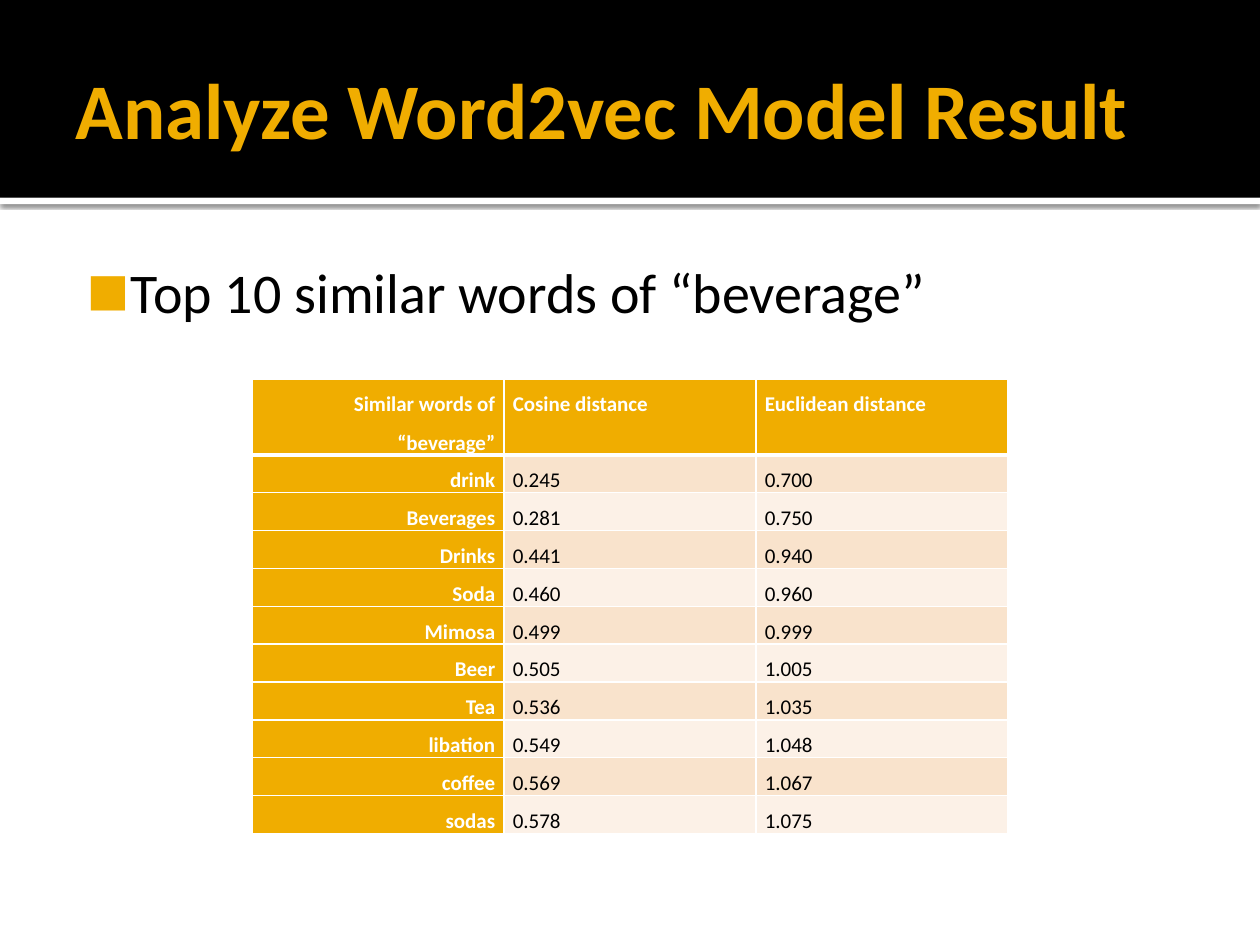
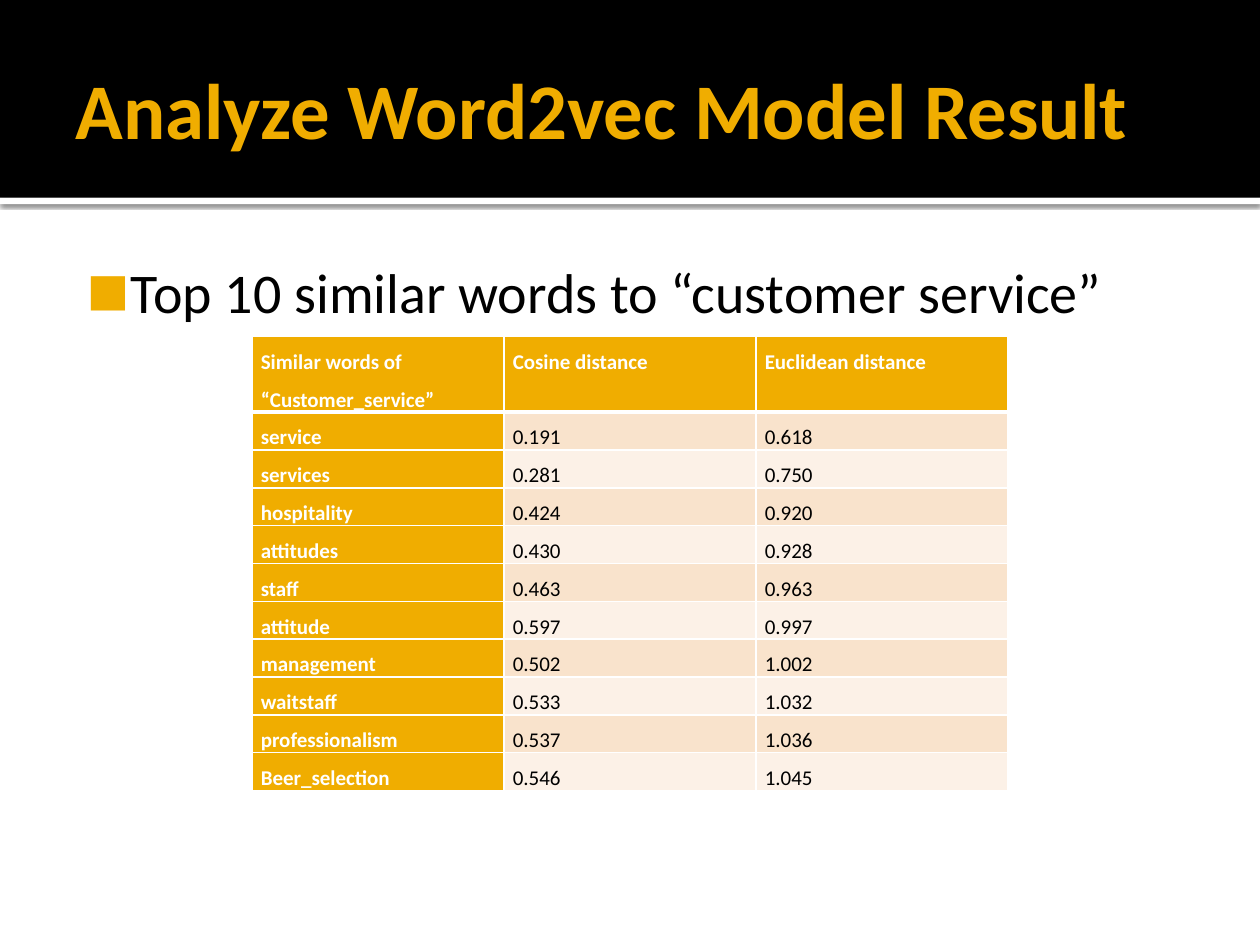
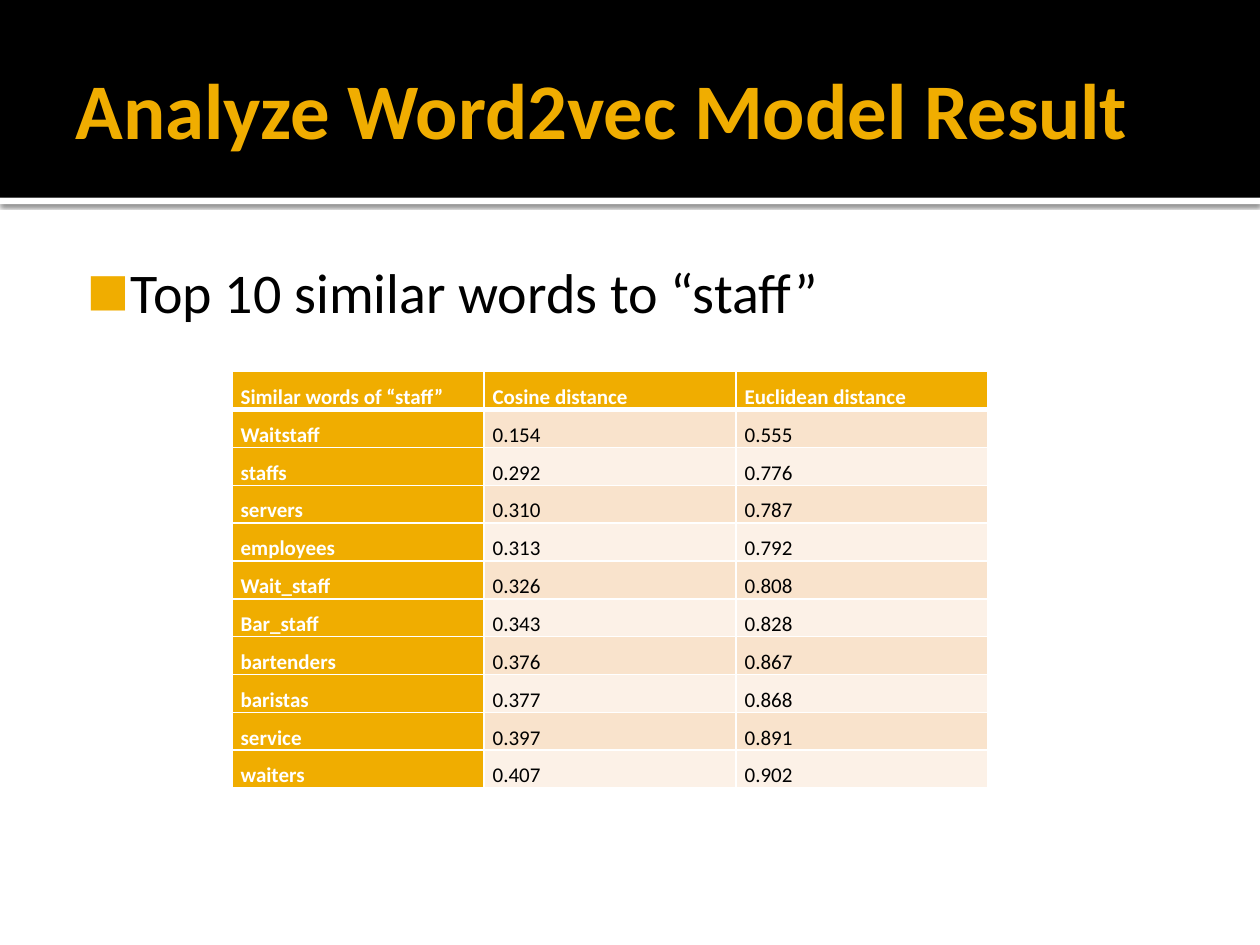
from dataclasses import dataclass

from lxml import etree
from pptx import Presentation
from pptx.dml.color import RGBColor
from pptx.enum.shapes import MSO_SHAPE
from pptx.enum.text import MSO_ANCHOR, PP_ALIGN
from pptx.oxml.ns import qn
from pptx.util import Inches, Pt

RECTANGLE = MSO_SHAPE.RECTANGLE
TOP, MIDDLE = MSO_ANCHOR.TOP, MSO_ANCHOR.MIDDLE
LEFT, RIGHT = PP_ALIGN.LEFT, PP_ALIGN.RIGHT

FONT = "Calibri"
GOLD = "F0AD00"
BLACK = "000000"
WHITE = "FFFFFF"
STRIPES = ("F9E3CC", "FCF1E7")

TITLE = "Analyze Word2vec Model Result"
DISTANCES = ("Cosine distance", "Euclidean distance")
COLUMN_WIDTH = 2
ROW_HEIGHT = 0.3
THIN, THICK = 1, 3


@dataclass(frozen=True)
class Box:
    left: float
    top: float
    width: float
    height: float

    def lengths(self):
        return [Inches(n) for n in (self.left, self.top, self.width, self.height)]


@dataclass(frozen=True)
class SimilarWords:
    topic: str
    word_heading: str
    left: float
    top: float
    rows: tuple[tuple[str, str, str], ...]
    word_align: PP_ALIGN = LEFT


STRIP = Box(0, 1.57, 10, 0.05)
BAND = Box(0, 0, 10, 1.57)
TITLE_BOX = Box(0.5, 0.17, 9, 1.37)
TOPIC_BOX = Box(0.5, 1.94, 9, 5.06)

RESULTS = (
    SimilarWords(
        "Top 10 similar words of “beverage”",
        "Similar words of “beverage”",
        2, 3.01,
        (
            ("drink", "0.245", "0.700"),
            ("Beverages", "0.281", "0.750"),
            ("Drinks", "0.441", "0.940"),
            ("Soda", "0.460", "0.960"),
            ("Mimosa", "0.499", "0.999"),
            ("Beer", "0.505", "1.005"),
            ("Tea", "0.536", "1.035"),
            ("libation", "0.549", "1.048"),
            ("coffee", "0.569", "1.067"),
            ("sodas", "0.578", "1.075"),
        ),
        RIGHT,
    ),
    SimilarWords(
        "Top 10 similar words to “customer service”",
        "Similar words of “Customer_service”",
        2, 2.67,
        (
            ("service", "0.191", "0.618"),
            ("services", "0.281", "0.750"),
            ("hospitality", "0.424", "0.920"),
            ("attitudes", "0.430", "0.928"),
            ("staff", "0.463", "0.963"),
            ("attitude", "0.597", "0.997"),
            ("management", "0.502", "1.002"),
            ("waitstaff", "0.533", "1.032"),
            ("professionalism", "0.537", "1.036"),
            ("Beer_selection", "0.546", "1.045"),
        ),
    ),
    SimilarWords(
        "Top 10 similar words to “staff”",
        "Similar words of “staff”",
        1.84, 2.95,
        (
            ("Waitstaff", "0.154", "0.555"),
            ("staffs", "0.292", "0.776"),
            ("servers", "0.310", "0.787"),
            ("employees", "0.313", "0.792"),
            ("Wait_staff", "0.326", "0.808"),
            ("Bar_staff", "0.343", "0.828"),
            ("bartenders", "0.376", "0.867"),
            ("baristas", "0.377", "0.868"),
            ("service", "0.397", "0.891"),
            ("waiters", "0.407", "0.902"),
        ),
    ),
)


def paint(color_format, color: str) -> None:
    color_format.rgb = RGBColor.from_string(color)


def add_child(parent, tag: str, **attributes):
    return etree.SubElement(
        parent, qn(tag), {name: str(value) for name, value in attributes.items()}
    )


def write(frame, text: str, *, size: float, color: str, bold: bool = False,
          align: PP_ALIGN = LEFT, spacing: float = 1.0, bullet: bool = False) -> None:
    paragraph = frame.paragraphs[0]
    paragraph.alignment = align
    paragraph.line_spacing = spacing
    if bullet:
        properties = paragraph._p.get_or_add_pPr()
        properties.set("marL", str(Inches(0.48)))
        properties.set("indent", str(Inches(-0.35)))
        add_child(add_child(properties, "a:buClr"), "a:srgbClr", val=GOLD)
        add_child(properties, "a:buSzPct", val=80000)
        add_child(properties, "a:buFont", typeface=FONT)
        add_child(properties, "a:buChar", char="■")
    run = paragraph.add_run()
    run.text = text
    run.font.name = FONT
    run.font.size = Pt(size)
    run.font.bold = bold
    paint(run.font.color, color)


def set_margins(holder, left: float, top: float, right: float, bottom: float) -> None:
    holder.margin_left = Inches(left)
    holder.margin_top = Inches(top)
    holder.margin_right = Inches(right)
    holder.margin_bottom = Inches(bottom)


def add_text_box(slide, box: Box, text: str, margins: tuple[float, ...],
                 anchor: MSO_ANCHOR, **text_format) -> None:
    frame = slide.shapes.add_textbox(*box.lengths()).text_frame
    frame.word_wrap = True
    frame.vertical_anchor = anchor
    set_margins(frame, *margins)
    write(frame, text, **text_format)


def add_bar(slide, box: Box, color: str):
    bar = slide.shapes.add_shape(RECTANGLE, *box.lengths())
    bar.shadow.inherit = False
    bar.fill.solid()
    paint(bar.fill.fore_color, color)
    bar.line.fill.background()
    return bar


def add_header(slide) -> None:
    strip = add_bar(slide, STRIP, WHITE)
    effects = strip._element.spPr.find(qn("a:effectLst"))
    shadow = add_child(effects, "a:outerShdw", blurRad=Pt(2.5), dist=Pt(0.8),
                       dir=90 * 60000, algn="tl", rotWithShape=0)
    add_child(add_child(shadow, "a:srgbClr", val=BLACK), "a:alpha", val=60000)
    add_bar(slide, BAND, BLACK)
    add_text_box(slide, TITLE_BOX, TITLE, (0.1, 0.05, 0.05, 0.05), MIDDLE,
                 size=45, color=GOLD, bold=True)


def set_borders(cell, top: float, bottom: float) -> None:
    properties = cell._tc.get_or_add_tcPr()
    widths = {"a:lnL": THIN, "a:lnR": THIN, "a:lnT": top, "a:lnB": bottom}
    for tag, width in widths.items():
        line = add_child(properties, tag, w=Pt(width))
        add_child(add_child(line, "a:solidFill"), "a:srgbClr", val=WHITE)


def add_distance_table(slide, result: SimilarWords) -> None:
    rows = ((result.word_heading, *DISTANCES), *result.rows)
    columns = len(rows[0])
    area = Box(result.left, result.top, columns * COLUMN_WIDTH, len(rows) * ROW_HEIGHT)
    table = slide.shapes.add_table(len(rows), columns, *area.lengths()).table
    table.first_col = True
    for r, row in enumerate(rows):
        for c, text in enumerate(row):
            cell = table.cell(r, c)
            heading = r == 0 or c == 0
            set_margins(cell, 0.07, 0, 0.07, 0)
            set_borders(cell, THICK if r == 1 else THIN, THICK if r == 0 else THIN)
            cell.fill.solid()
            paint(cell.fill.fore_color, GOLD if heading else STRIPES[(r - 1) % 2])
            write(cell.text_frame, text, size=12, bold=heading, spacing=1.5,
                  color=WHITE if heading else BLACK,
                  align=result.word_align if c == 0 else LEFT)


def main() -> None:
    deck = Presentation()
    deck.slide_width, deck.slide_height = Inches(10), Inches(7.5)
    for result in RESULTS:
        slide = deck.slides.add_slide(deck.slide_layouts[6])
        add_header(slide)
        add_text_box(slide, TOPIC_BOX, result.topic, (0.06, 0.1, 0.1, 0.05), TOP,
                     size=32, color=BLACK, bullet=True)
        add_distance_table(slide, result)
    deck.save("out.pptx")


if __name__ == "__main__":
    main()
